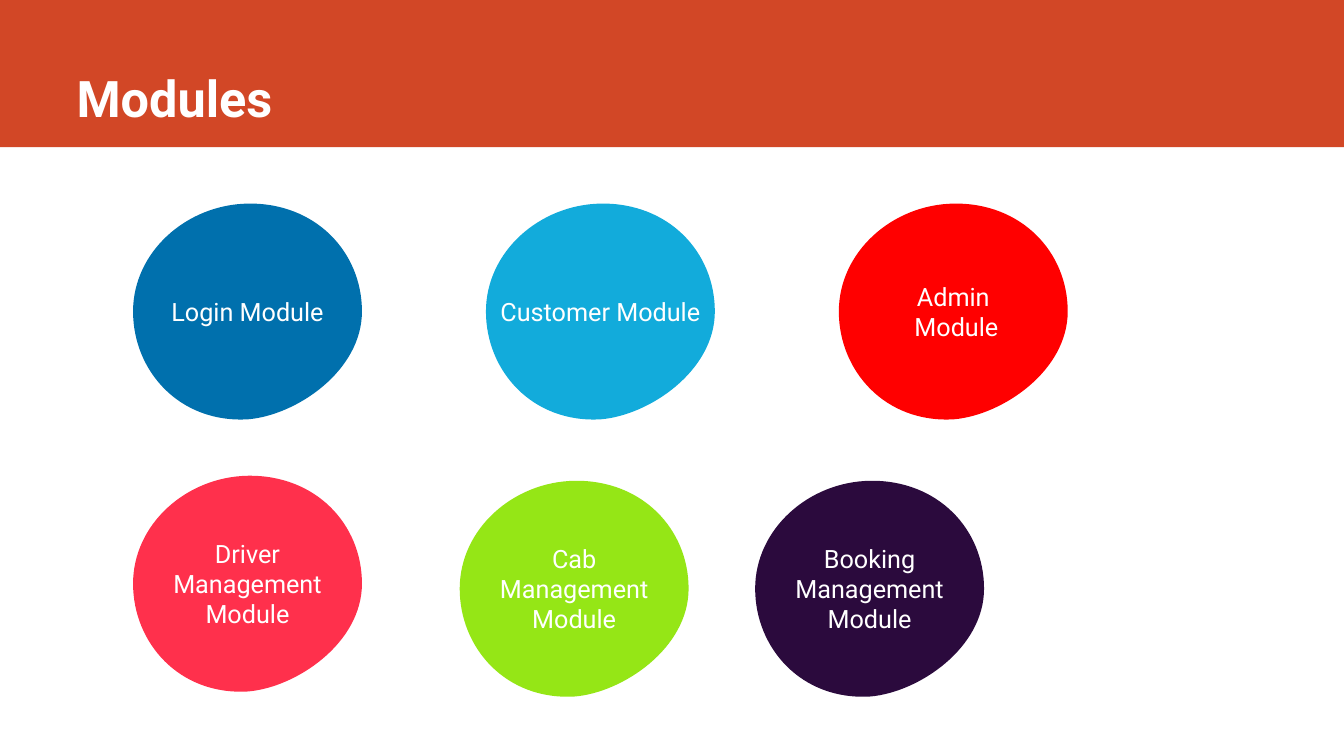
"""Build the Modules slide: a title band above six coloured module blobs."""
from dataclasses import dataclass

from lxml import etree
from pptx import Presentation
from pptx.dml.color import RGBColor
from pptx.enum import shapes, text
from pptx.oxml import ns
from pptx.slide import Slide
from pptx.util import Inches, Pt


@dataclass(frozen=True)
class Theme:
    font: str = "Roboto"
    band: str = "D24726"
    ink: str = "FFFFFF"
    title_size: int = 36
    label_size: int = 18


@dataclass(frozen=True)
class Module:
    label: str
    left: float
    top: float
    color: str


THEME = Theme()
BLOB_START = (0, 1.07)
BLOB_CURVES = [
    ((0, 0.48), (0.53, 0.01), (1.14, 0)),
    ((1.81, -0.01), (2.27, 0.48), (2.27, 1.07)),
    ((2.27, 1.66), (1.62, 2.1), (1.14, 2.14)),
    ((0.46, 2.18), (0, 1.66), BLOB_START),
]
MODULES = [
    Module("Login Module", 1.32, 2.02, "0070AD"),
    Module("Customer Module", 4.82, 2.02, "12ABDB"),
    Module("Admin\n Module", 8.32, 2.02, "FF0000"),
    Module("Driver Management Module", 1.32, 4.72, "FF304C"),
    Module("Cab\nManagement Module", 4.56, 4.77, "95E616"),
    Module("Booking\nManagement Module", 7.49, 4.77, "2B0A3D"),
]


def paint(sp, color: str) -> None:
    sp.shadow.inherit = False
    sp.fill.solid()
    sp.fill.fore_color.rgb = RGBColor.from_string(color)
    sp.line.fill.background()


def write(sp, content: str, size: int, align, anchor, bold: bool = False) -> None:
    tf = sp.text_frame
    tf.text = content
    tf.word_wrap = True
    tf.auto_size = text.MSO_AUTO_SIZE.NONE
    tf.vertical_anchor = anchor
    for p in tf.paragraphs:
        p.alignment = align
        for r in p.runs:
            r.font.name = THEME.font
            r.font.size = Pt(size)
            r.font.bold = bold
            r.font.color.rgb = RGBColor.from_string(THEME.ink)


def add_header(s: Slide, width: int) -> None:
    title = s.shapes.title
    title.left, title.top = Inches(0.66), Inches(0)
    title.width, title.height = Inches(11.76), Inches(1.32)
    write(title, "Modules", THEME.title_size, text.PP_ALIGN.LEFT, text.MSO_ANCHOR.BOTTOM, True)
    band = s.shapes.add_shape(shapes.MSO_SHAPE.RECTANGLE, 0, 0, width, Inches(1.46))
    paint(band, THEME.band)
    title.element.addprevious(band.element)


def round_sides(sp) -> None:
    sides = list(sp.element.iter(ns.qn("a:lnTo")))
    for side, curve in zip(sides, BLOB_CURVES):
        bend = etree.Element(ns.qn("a:cubicBezTo"))
        for x, y in curve:
            etree.SubElement(bend, ns.qn("a:pt"), x=str(Inches(x)), y=str(Inches(y)))
        side.getparent().replace(side, bend)


def add_module(s: Slide, module: Module) -> None:
    x, y = BLOB_START
    builder = s.shapes.build_freeform(Inches(x), Inches(y))
    corners = [(Inches(cx), Inches(cy)) for _, _, (cx, cy) in BLOB_CURVES]
    builder.add_line_segments(corners, close=True)
    sp = builder.convert_to_shape(Inches(module.left), Inches(module.top))
    round_sides(sp)
    paint(sp, module.color)
    write(sp, module.label, THEME.label_size, text.PP_ALIGN.CENTER, text.MSO_ANCHOR.MIDDLE)


def main() -> None:
    prs = Presentation()
    prs.slide_width, prs.slide_height = Inches(13.33), Inches(7.5)
    s = prs.slides.add_slide(prs.slide_layouts[5])
    add_header(s, prs.slide_width)
    for module in MODULES:
        add_module(s, module)
    prs.save("out.pptx")


if __name__ == "__main__":
    main()
